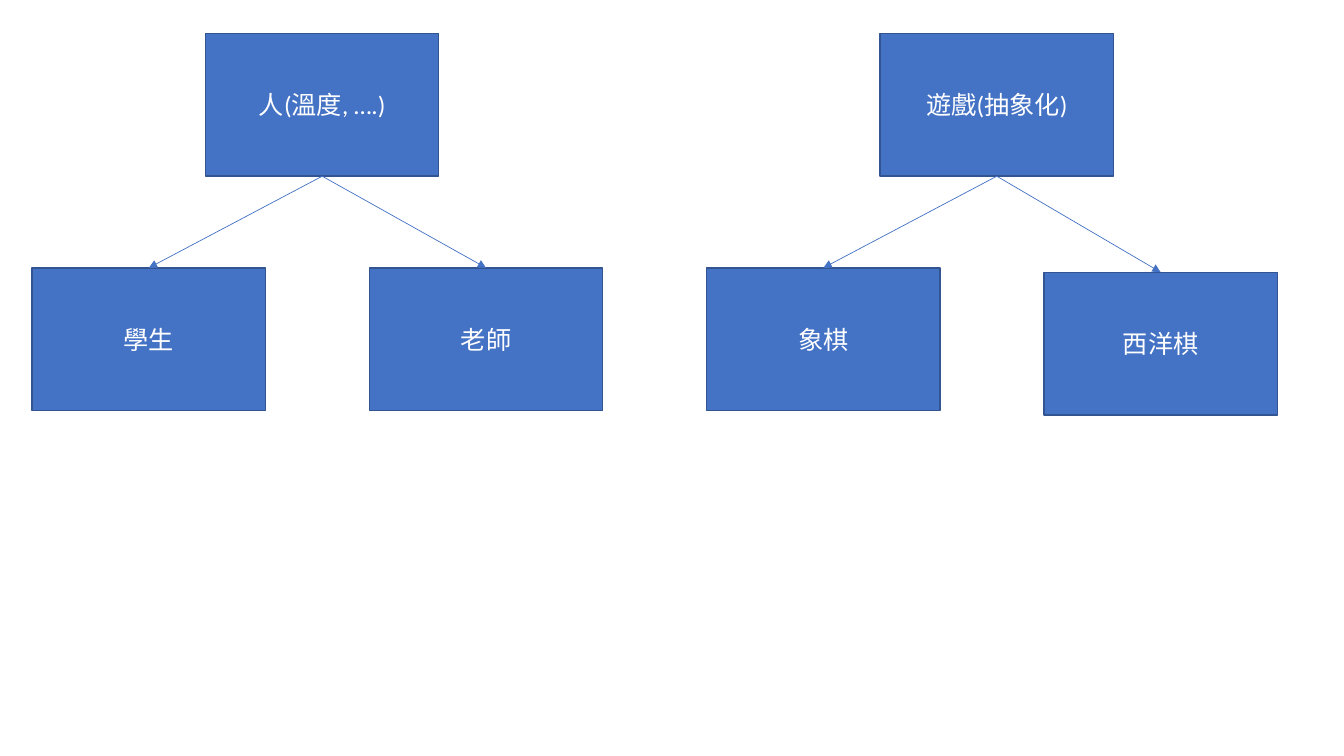
from dataclasses import dataclass

from lxml.etree import SubElement
from pptx import Presentation
from pptx.dml.color import RGBColor
from pptx.enum.dml import MSO_LINE
from pptx.enum.shapes import MSO_CONNECTOR, MSO_SHAPE
from pptx.enum.text import MSO_ANCHOR, PP_ALIGN
from pptx.oxml.ns import qn
from pptx.shapes.autoshape import Shape
from pptx.shapes.shapetree import SlideShapes
from pptx.util import Cm, Pt

BLUE = "4472C4"
BORDER = "325491"
WHITE = "FFFFFF"
BOX_WIDTH = 5.88
BOX_HEIGHT = 3.6
PARENT_TOP = 0.84
CHILD_TOP = 6.75
PARENT_SHIFT = 4.37
CHILD_STEP = 8.5
TREE_STEP = 17
BOTTOM_SIDE = 2
TOP_SIDE = 0


@dataclass(frozen=True)
class ChildClass:
    label: str
    drop: float = 0


@dataclass(frozen=True)
class ClassTree:
    parent: str
    children: tuple[ChildClass, ...]


TREES = (
    ClassTree("人(溫度, ….)", (ChildClass("學生"), ChildClass("老師"))),
    ClassTree("遊戲(抽象化)", (ChildClass("象棋"), ChildClass("西洋棋", 0.11))),
)


def color(value: str) -> RGBColor:
    return RGBColor.from_string(value)


def draw_class(shapes: SlideShapes, label: str, left: float, top: float) -> Shape:
    box = shapes.add_shape(
        MSO_SHAPE.RECTANGLE, Cm(left), Cm(top), Cm(BOX_WIDTH), Cm(BOX_HEIGHT)
    )
    box.shadow.inherit = False
    box.fill.solid()
    box.fill.fore_color.rgb = color(BLUE)
    box.line.color.rgb = color(BORDER)
    box.line.width = Pt(1)
    box.text_frame.text = label
    box.text_frame.word_wrap = True
    box.text_frame.vertical_anchor = MSO_ANCHOR.MIDDLE
    paragraph = box.text_frame.paragraphs[0]
    paragraph.alignment = PP_ALIGN.CENTER
    for run in paragraph.runs:
        run.font.name = "Calibri"
        run.font.size = Pt(18)
        run.font.color.rgb = color(WHITE)
    return box


def draw_arrow(shapes: SlideShapes, parent: Shape, child: Shape) -> None:
    arrow = shapes.add_connector(MSO_CONNECTOR.STRAIGHT, 0, 0, 0, 0)
    arrow.begin_connect(parent, BOTTOM_SIDE)
    arrow.end_connect(child, TOP_SIDE)
    arrow.line.color.rgb = color(BLUE)
    arrow.line.width = Pt(0.5)
    arrow.line.dash_style = MSO_LINE.SOLID
    properties = arrow.element.spPr
    SubElement(properties.find(qn("a:ln")), qn("a:tailEnd"), type="triangle")
    SubElement(properties, qn("a:effectLst"))


def draw_tree(shapes: SlideShapes, tree: ClassTree, left: float) -> None:
    parent = draw_class(shapes, tree.parent, left + PARENT_SHIFT, PARENT_TOP)
    children = [
        draw_class(shapes, child.label, left + i * CHILD_STEP, CHILD_TOP + child.drop)
        for i, child in enumerate(tree.children)
    ]
    for child in children:
        draw_arrow(shapes, parent, child)


def main() -> None:
    presentation = Presentation()
    presentation.slide_width = Cm(33.87)
    presentation.slide_height = Cm(19.05)
    slide = presentation.slides.add_slide(presentation.slide_layouts[6])
    for i, tree in enumerate(TREES):
        draw_tree(slide.shapes, tree, 0.81 + i * TREE_STEP)
    presentation.save("out.pptx")


if __name__ == "__main__":
    main()
